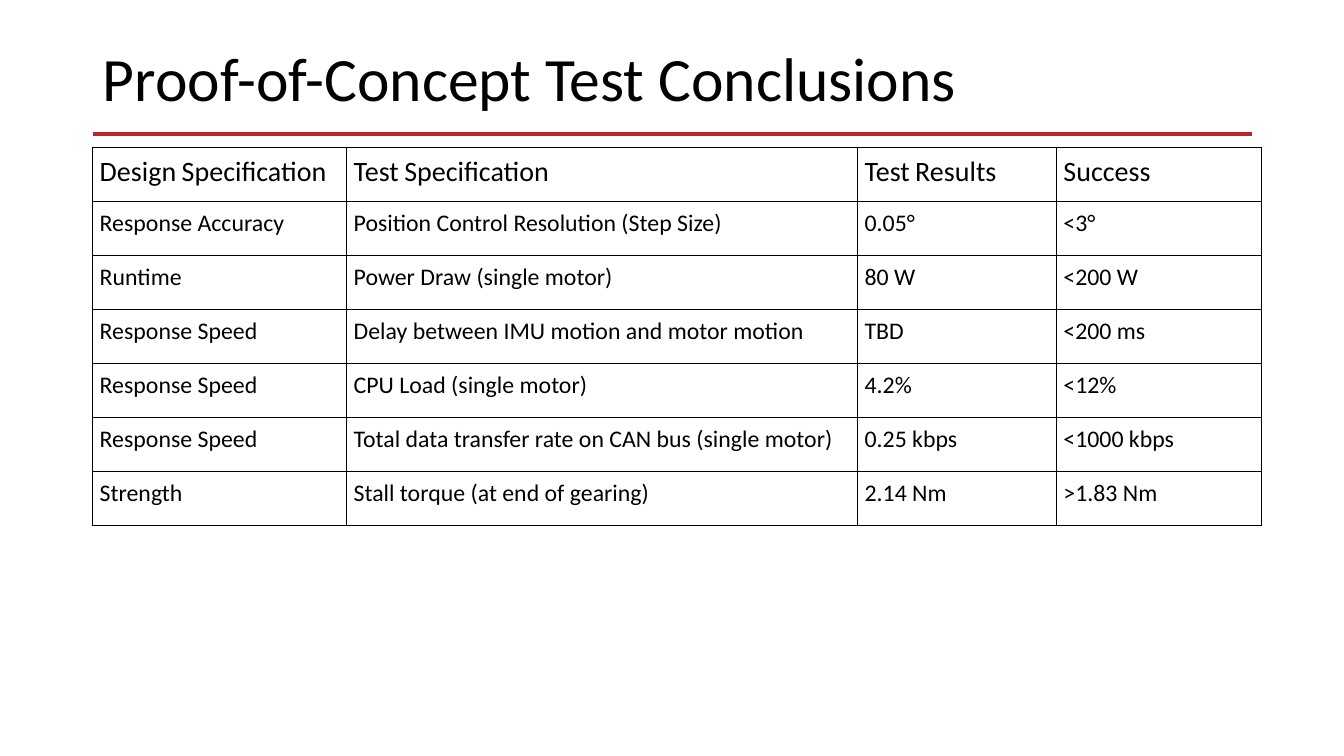
from lxml import etree
from pptx import Presentation
from pptx.dml.color import RGBColor
from pptx.enum import shapes, text
from pptx.oxml import ns
from pptx.util import Pt

FONT = "Calibri"
BLACK = "000000"
RED = "B62527"
LEFT = 66.24
HEADER_SIZE, BODY_SIZE = 20, 17
ROW_HEIGHT = 38.6
COLUMN_WIDTHS = [181.4, 365, 142, 146.6]
ROWS = [
    ["Design Specification", "Test Specification", "Test Results", "Success"],
    ["Response Accuracy", "Position Control Resolution (Step Size)", "0.05°", "<3°"],
    ["Runtime", "Power Draw (single motor)", "80 W", "<200 W"],
    ["Response Speed", "Delay between IMU motion and motor motion", "TBD", "<200 ms"],
    ["Response Speed", "CPU Load (single motor)", "4.2%", "<12%"],
    ["Response Speed", "Total data transfer rate on CAN bus (single motor)",
     "0.25 kbps", "<1000 kbps"],
    ["Strength", "Stall torque (at end of gearing)", "2.14 Nm", ">1.83 Nm"],
]


def color(value):
    return RGBColor.from_string(value)


def apply(target, values):
    for name, value in values.items():
        setattr(target, name, value)


def add_run(paragraph, words, size):
    run = paragraph.add_run()
    run.text = words
    apply(run.font, {"name": FONT, "size": Pt(size), "bold": False})
    run.font.color.rgb = color(BLACK)


def set_title(slide, words):
    title = slide.shapes.title
    apply(title, {"left": Pt(LEFT), "top": Pt(28.8), "width": Pt(828), "height": Pt(59)})
    apply(title.text_frame, {
        "vertical_anchor": text.MSO_ANCHOR.MIDDLE, "word_wrap": True,
        "auto_size": text.MSO_AUTO_SIZE.NONE,
        "margin_left": Pt(7.2), "margin_right": Pt(7.2),
        "margin_top": Pt(3.6), "margin_bottom": Pt(3.6)})
    paragraph = title.text_frame.paragraphs[0]
    apply(paragraph, {"alignment": text.PP_ALIGN.LEFT, "line_spacing": 0.9})
    add_run(paragraph, words, 44)


def add_rule(slide, top, width):
    rule = slide.shapes.add_connector(
        shapes.MSO_CONNECTOR.STRAIGHT, Pt(LEFT), Pt(top), Pt(LEFT + width), Pt(top))
    rule.line.width = Pt(2.25)
    rule.line.color.rgb = color(RED)
    etree.SubElement(rule._element.spPr, ns.qn("a:effectLst"))


def set_borders(cell):
    properties = cell._tc.get_or_add_tcPr()
    for side in ("lnL", "lnR", "lnT", "lnB"):
        line = etree.SubElement(properties, ns.qn(f"a:{side}"), w=str(Pt(1)))
        fill = etree.SubElement(line, ns.qn("a:solidFill"))
        etree.SubElement(fill, ns.qn("a:srgbClr"), val=BLACK)


def fill_cell(cell, words, is_header):
    set_borders(cell)
    cell.fill.background()
    apply(cell, {f"margin_{side}": Pt(5) for side in ("left", "right", "top", "bottom")})
    cell.vertical_anchor = text.MSO_ANCHOR.TOP
    paragraph = cell.text_frame.paragraphs[0]
    if not is_header:
        add_run(paragraph, words, BODY_SIZE)
        return
    # Header words are larger than the spaces between them
    for index, word in enumerate(words.split()):
        if index:
            add_run(paragraph, " ", BODY_SIZE)
        add_run(paragraph, word, HEADER_SIZE)


def add_results_table(slide, top):
    table = slide.shapes.add_table(
        len(ROWS), len(COLUMN_WIDTHS), Pt(LEFT), Pt(top),
        Pt(sum(COLUMN_WIDTHS)), Pt(ROW_HEIGHT * len(ROWS))).table
    apply(table, {"first_row": False, "horz_banding": False})
    for column, width in zip(table.columns, COLUMN_WIDTHS):
        column.width = Pt(width)
    for row_index, values in enumerate(ROWS):
        table.rows[row_index].height = Pt(ROW_HEIGHT)
        for column_index, value in enumerate(values):
            fill_cell(table.cell(row_index, column_index), value, row_index == 0)


def main():
    presentation = Presentation()
    apply(presentation, {"slide_width": Pt(960), "slide_height": Pt(540)})
    slide = presentation.slides.add_slide(presentation.slide_layouts.get_by_name("Title Only"))

    # Heading and the rule below it
    add_rule(slide, 95.75, 828)
    set_title(slide, "Proof-of-Concept Test Conclusions")

    # Test results
    add_results_table(slide, 105.3)

    presentation.save("out.pptx")


if __name__ == "__main__":
    main()
